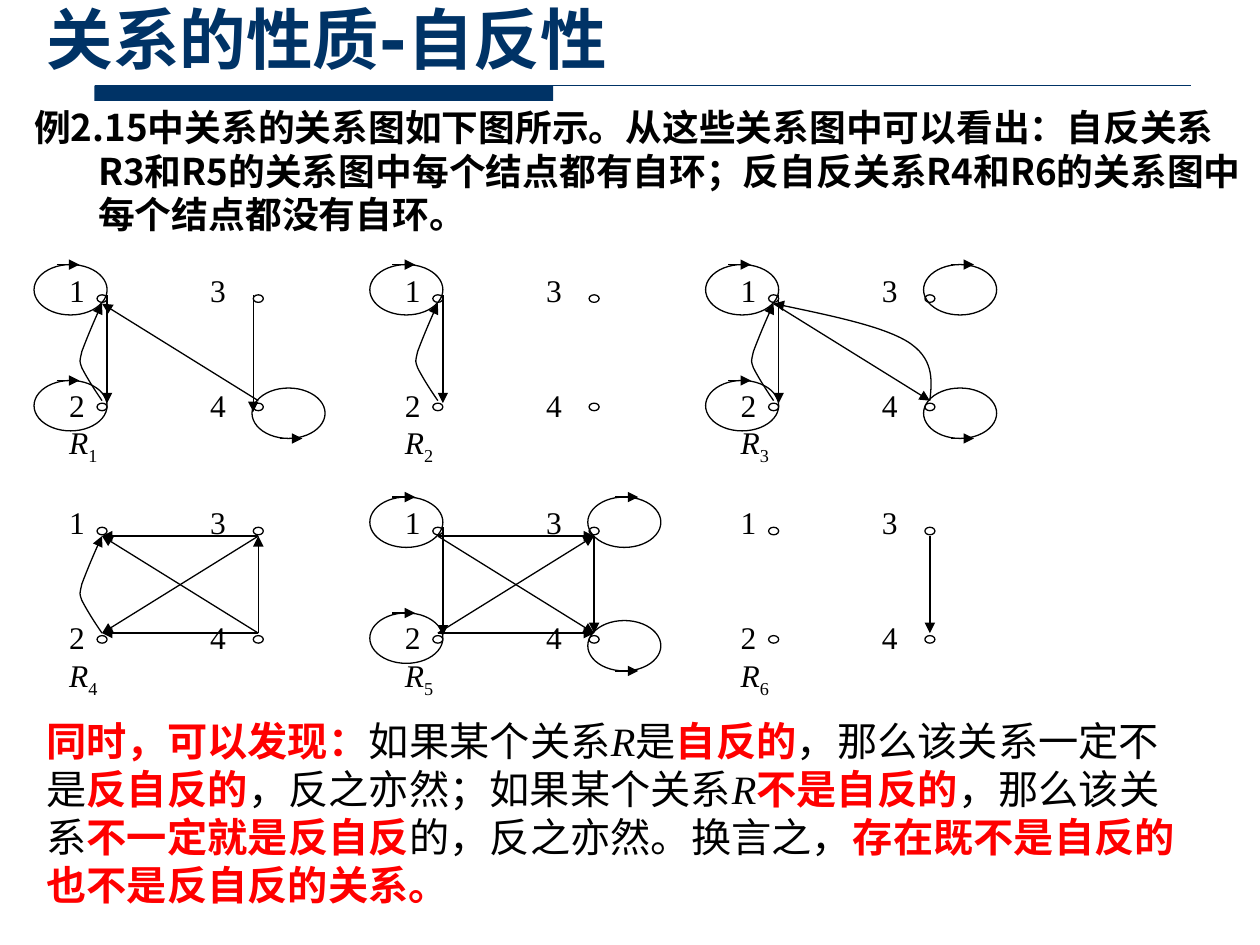
import pptx
import pptx.dml.color
import pptx.enum.shapes
import pptx.enum.text
import pptx.oxml
import pptx.oxml.ns
import pptx.util
from pptx.util import Inches, Pt

NAVY = pptx.dml.color.RGBColor(0x00, 0x33, 0x66)
BLACK = pptx.dml.color.RGBColor(0x00, 0x00, 0x00)
RED = pptx.dml.color.RGBColor(0xFF, 0x00, 0x00)
WHITE = pptx.dml.color.RGBColor(0xFF, 0xFF, 0xFF)
SANS, CJK, SERIF = "DejaVu Sans", "Noto Sans CJK SC", "Times New Roman"

TITLE = "关系的性质-自反性"
EXAMPLE = ("例2.15中关系的关系图如下图所示。从这些关系图中可以看出：自反关系R3和R5的关系图中"
           "每个结点都有自环；反自反关系R4和R6的关系图中每个结点都没有自环。")
# Styles: "key" is bold red, "var" is italic, "plain" is regular.
CONCLUSION = [
    ("同时，可以发现：", "key"), ("如果某个关系", "plain"), ("R", "var"), ("是", "plain"),
    ("自反的", "key"), ("，那么该关系一定不是", "plain"), ("反自反的", "key"),
    ("，反之亦然；如果某个关系", "plain"), ("R", "var"), ("不是自反的", "key"),
    ("，那么该关系", "plain"), ("不一定就是反自反", "key"), ("的，反之亦然。换言之，", "plain"),
    ("存在既不是自反的也不是反自反的关系。", "key"),
]

# Each relation: nodes with loops, straight edges, and routes drawn specially.
RELATIONS = [
    {"loops": [1, 2, 4], "edges": [(4, 1)], "routes": ["1 down", "3 down", "2 bow"]},
    {"loops": [1], "edges": [], "routes": ["1 down", "2 bow"]},
    {"loops": [1, 2, 3, 4], "edges": [(1, 4)], "routes": ["1 down", "2 bow", "4 arc"]},
    {"loops": [], "edges": [(3, 1), (3, 2), (4, 2), (4, 3), (4, 1)], "routes": ["2 bow"]},
    {"loops": [1, 2, 3, 4], "edges": [(1, 4), (1, 3), (2, 4), (2, 3), (3, 4)],
     "routes": ["1 down"]},
    {"loops": [], "edges": [(3, 4)], "routes": []},
]

# Lengths in inches, measured from the top left of each graph.
GRAPH_LEFT, GRAPH_TOP, PITCH_X, PITCH_Y, COLUMNS = 0.45, 2.1, 2.665, 1.845, 3
NODES = {1: (0.36, 0.27), 2: (0.36, 1.13), 3: (1.6, 0.27), 4: (1.6, 1.13)}
ENDS = {1: (0.36, 0.31), 2: (0.36, 1.08), 3: (1.6, 0.31), 4: (1.6, 1.08)}
LOOPS = {1: (-0.18, 0), 2: (-0.18, 0.92), 3: (1.55, 0), 4: (1.55, 0.98)}
LOOP_WIDTH, LOOP_HEIGHT = 0.58, 0.4
DOWN = {"1 down": ((0.4, 0.24), (0.4, 1.1)), "3 down": ((1.56, 0.24), (1.56, 1.17))}
CURVES = {
    "2 bow": [(0.36, 1.08), (0.29, 0.98), (0.23, 0.88), (0.2, 0.82), (0.18, 0.76),
              (0.18, 0.78), (0.2, 0.69), (0.23, 0.61), (0.29, 0.46), (0.36, 0.31)],
    "4 arc": [(1.6, 1.08), (1.62, 0.91), (1.63, 0.74), (1.42, 0.61), (1.22, 0.49),
              (0.79, 0.4), (0.36, 0.31)],
}


def add_span(para, text, size, font, color=BLACK, bold=False, italic=False):
    span = para.add_run()
    span.text = text
    span.font.name, span.font.size = font, Pt(size)
    span.font.bold, span.font.italic = bold, italic
    span.font.color.rgb = color
    east_asian = pptx.oxml.ns.qn("a:ea")
    span.font._element.makeelement(east_asian)
    span.font._element.find(pptx.oxml.ns.qn("a:latin")).addnext(
        span.font._element.makeelement(east_asian, {"typeface": CJK}))
    return span


def place(shape, left, top, width, height):
    shape.left, shape.top = Inches(left), Inches(top)
    shape.width, shape.height = Inches(width), Inches(height)


def outline(shape, fill=None):
    shape.shadow.inherit = False
    shape.line.color.rgb, shape.line.width = BLACK, Pt(0.75)
    if fill is None:
        shape.fill.background()
    else:
        shape.fill.solid()
        shape.fill.fore_color.rgb = fill


def add_arrowhead(shape):
    line = shape.line._get_or_add_ln()
    line.append(line.makeelement(pptx.oxml.ns.qn("a:tailEnd"), {"type": "triangle"}))


def add_line(shapes, start, end, color=BLACK, arrow=True):
    line = shapes.add_connector(pptx.enum.shapes.MSO_CONNECTOR.STRAIGHT,
                                *(Inches(value) for value in start + end))
    line.line.color.rgb, line.line.width = color, Pt(0.75)
    properties = line._element.spPr
    if arrow:
        add_arrowhead(line)
    properties.append(properties.makeelement(pptx.oxml.ns.qn("a:effectLst")))


def add_curve(shapes, points):
    """Draw an arrow along Bezier segments, three points after the start for each."""
    points = [(Inches(x), Inches(y)) for x, y in points]
    builder = shapes.build_freeform(*points[0])
    builder.add_line_segments(points[1:], close=False)
    curve = builder.convert_to_shape()
    outline(curve)
    add_arrowhead(curve)
    steps = list(curve._element.iter(pptx.oxml.ns.qn("a:lnTo")))
    for first in range(0, len(steps), 3):
        segment = steps[first].makeelement(pptx.oxml.ns.qn("a:cubicBezTo"))
        steps[first].addprevious(segment)
        for step in steps[first:first + 3]:
            segment.append(step[0])
            step.getparent().remove(step)


def add_ellipse(shapes, left, top, width, height, fill=None):
    ellipse = shapes.add_shape(pptx.enum.shapes.MSO_SHAPE.OVAL,
                               *(Inches(value) for value in (left, top, width, height)))
    outline(ellipse, fill)


def add_labels(shapes, left, top, number):
    box = shapes.add_textbox(Inches(left), Inches(top), Inches(1.95), Inches(1.69))
    frame = box.text_frame
    frame.word_wrap = True
    for row, text in enumerate(["1\t3", "2\t4", "R"]):
        para = frame.paragraphs[0] if row == 0 else frame.add_paragraph()
        add_span(para, text, 18, SERIF, italic=text == "R")
        if row == 1:
            para.space_before = Pt(44)
        if text == "R":
            subscript = add_span(para, str(number), 18, SERIF)
            subscript.font._element.set("baseline", "-25000")
        else:
            properties = para._p.get_or_add_pPr()
            tabs = properties.makeelement(pptx.oxml.ns.qn("a:tabLst"))
            tabs.append(tabs.makeelement(pptx.oxml.ns.qn("a:tab"),
                                         {"pos": str(Inches(1.12)), "algn": "l"}))
            properties.append(tabs)


def add_graph(page, index, relation):
    left = GRAPH_LEFT + index % COLUMNS * PITCH_X
    top = GRAPH_TOP + index // COLUMNS * PITCH_Y
    shapes = page.shapes.add_group_shape().shapes

    def shift(point):
        return left + point[0], top + point[1]

    for x, y in map(shift, NODES.values()):
        add_ellipse(shapes, x - 0.04, y - 0.03, 0.08, 0.06, WHITE)
    for start, end in relation["edges"]:
        add_line(shapes, shift(ENDS[start]), shift(ENDS[end]))
    for route in relation["routes"]:
        if route in DOWN:
            add_line(shapes, *map(shift, DOWN[route]))
        else:
            add_curve(shapes, list(map(shift, CURVES[route])))
    for node in relation["loops"]:
        x, y = shift(LOOPS[node])
        add_ellipse(shapes, x, y, LOOP_WIDTH, LOOP_HEIGHT)
        arrow_x = x + (0.18 if node < 3 else 0.22)
        arrow_y = y + (LOOP_HEIGHT if node == 4 else 0)
        add_line(shapes, (arrow_x, arrow_y), (arrow_x + 0.18, arrow_y))
    add_labels(shapes, left, top, index + 1)


def main():
    deck = pptx.Presentation()
    deck.slide_width, deck.slide_height = Inches(10), Inches(7.5)
    page = deck.slides.add_slide(deck.slide_layouts[1])
    title, body = page.shapes.title, page.placeholders[1]

    place(title, 0.27, 0, 9.73, 0.67)
    title.text_frame.vertical_anchor = pptx.enum.text.MSO_ANCHOR.BOTTOM
    para = title.text_frame.paragraphs[0]
    para.alignment = pptx.enum.text.PP_ALIGN.LEFT
    add_span(para, TITLE, 38, SANS, NAVY, bold=True)

    place(body, 0.17, 0.78, 9.83, 6.72)
    para = body.text_frame.paragraphs[0]
    para.space_before, para.line_spacing = Pt(0), Pt(25.1)
    properties = para._p.get_or_add_pPr()
    properties.set("marL", str(Inches(0.51)))
    properties.set("indent", str(-Inches(0.51)))
    properties.append(properties.makeelement(pptx.oxml.ns.qn("a:buNone")))
    add_span(para, EXAMPLE, 21, CJK, bold=True)

    bar = page.shapes.add_shape(pptx.enum.shapes.MSO_SHAPE.RECTANGLE, 0, 0, 0, 0)
    place(bar, 0.75, 0.68, 3.64, 0.12)
    outline(bar, NAVY)
    bar.line.fill.background()
    add_line(page.shapes, (0.75, 0.68), (9.45, 0.68), NAVY, arrow=False)

    for index, relation in enumerate(RELATIONS):
        add_graph(page, index, relation)

    box = page.shapes.add_textbox(Inches(0.27), Inches(5.62), Inches(9.29), Inches(1.65))
    box.text_frame.word_wrap = True
    box.text_frame.vertical_anchor = pptx.enum.text.MSO_ANCHOR.MIDDLE
    para = box.text_frame.paragraphs[0]
    para.line_spacing = Pt(27.4)
    for text, style in CONCLUSION:
        key = style == "key"
        add_span(para, text, 23, SANS if key else SERIF, RED if key else BLACK,
                 bold=key, italic=style == "var")
    deck.save("out.pptx")


if __name__ == "__main__":
    main()
